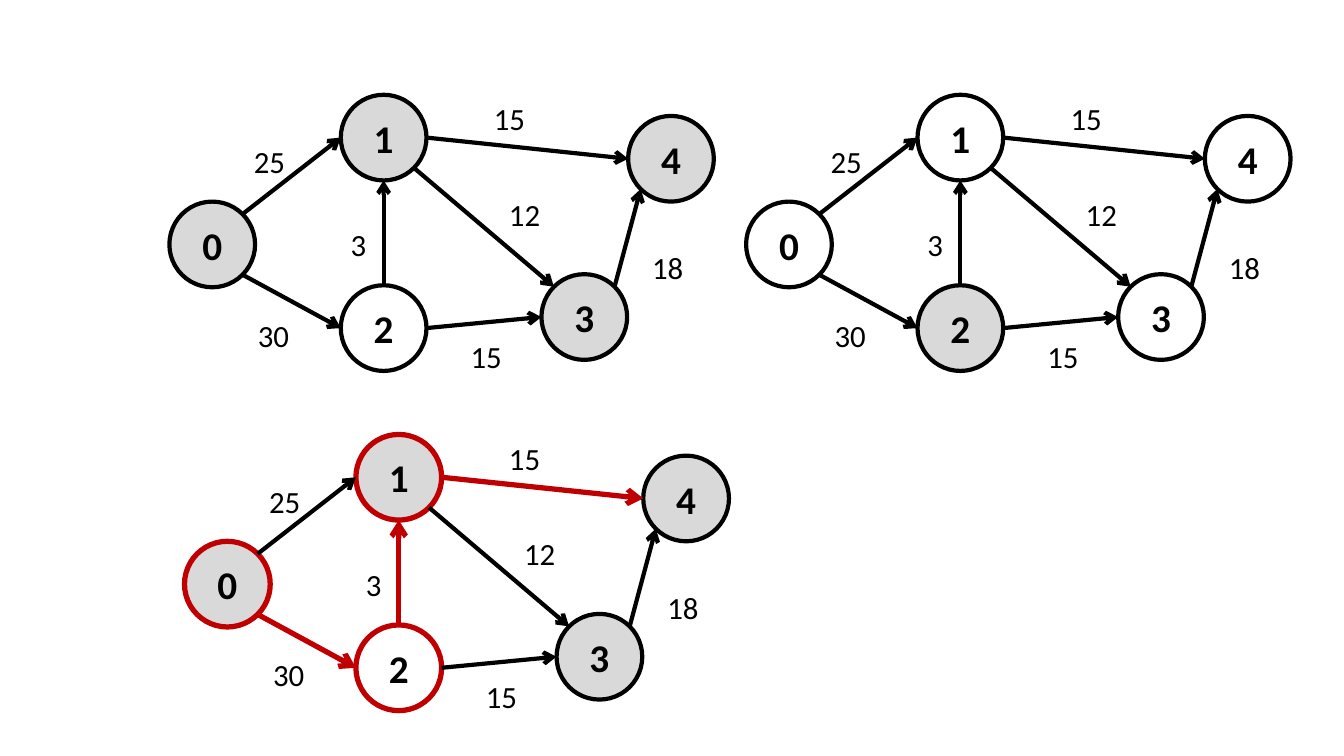
from dataclasses import dataclass
from math import sqrt

from lxml.etree import SubElement
from pptx import Presentation
from pptx.dml.color import RGBColor as RGB
from pptx.enum.shapes import MSO_CONNECTOR as CONNECTOR, MSO_SHAPE as SHAPE
from pptx.enum.text import MSO_ANCHOR as ANCHOR, MSO_AUTO_SIZE as AUTO_SIZE, PP_ALIGN as ALIGN
from pptx.oxml.ns import qn
from pptx.util import Pt

SCALE = 9144  # EMU per px, 100 px to the inch


@dataclass(frozen=True)
class Theme:
    font: str = "Calibri"
    node_size: float = 28
    weight_size: float = 22
    ink: RGB = RGB(0x00, 0x00, 0x00)
    marked: RGB = RGB(0xD9, 0xD9, 0xD9)
    plain: RGB = RGB(0xFF, 0xFF, 0xFF)
    route: RGB = RGB(0xC0, 0x00, 0x00)
    stroke: float = 3
    route_stroke: float = 3.75


THEME = Theme()
DIAMETER = 85
WEIGHT_BOX = (57, 47)

# Node positions inside a graph's box
NODES = {0: (0, 106), 1: (170, 0), 2: (170, 189), 3: (369, 178), 4: (455, 21)}

# Compass points of a circle as offsets from its centre, in radii
DIAGONAL = 1 / sqrt(2)
COMPASS = {
    "N": (0, -1), "S": (0, 1), "W": (-1, 0), "E": (1, 0),
    "NW": (-DIAGONAL, -DIAGONAL), "NE": (DIAGONAL, -DIAGONAL),
    "SW": (-DIAGONAL, DIAGONAL), "SE": (DIAGONAL, DIAGONAL),
}

# Source, its side, target, its side, weight, weight position
EDGES = [
    (0, "NE", 1, "W", "25", (74, 43)),
    (0, "SE", 2, "W", "30", (78, 215)),
    (2, "E", 3, "W", "15", (289, 236)),
    (2, "N", 1, "S", "3", (170, 125)),
    (3, "NE", 4, "SW", "18", (469, 148)),
    (1, "E", 4, "W", "15", (312, 0)),
    (1, "SE", 3, "NW", "12", (327, 95)),
]

# Box origin, shaded nodes, nodes along the highlighted route
GRAPHS = [
    ((168, 94), {0, 1, 3, 4}, []),
    ((740, 94), {2}, []),
    ((183, 431), {0, 1, 3, 4}, [0, 2, 1, 4]),
]


def px(*lengths):
    return [round(length * SCALE) for length in lengths]


def style_line(line, on_route):
    line.color.rgb = THEME.route if on_route else THEME.ink
    line.width = Pt(THEME.route_stroke if on_route else THEME.stroke)


def write(frame, wording, size, bold=False):
    run = frame.paragraphs[0].add_run()
    run.text = wording
    run.font.name = THEME.font
    run.font.size = Pt(size)
    run.font.bold = bold
    run.font.color.rgb = THEME.ink


def add_node(slide, left, top, number, shaded, on_route):
    node = slide.shapes.add_shape(SHAPE.OVAL, *px(left, top, DIAMETER, DIAMETER))
    node.shadow.inherit = False
    node.fill.solid()
    node.fill.fore_color.rgb = THEME.marked if shaded else THEME.plain
    style_line(node.line, on_route)
    node.text_frame.vertical_anchor = ANCHOR.MIDDLE
    node.text_frame.paragraphs[0].alignment = ALIGN.CENTER
    write(node.text_frame, str(number), THEME.node_size, bold=True)


def add_arrow(slide, tip, start, on_route):
    arrow = slide.shapes.add_connector(CONNECTOR.STRAIGHT, *px(*tip, *start))
    style_line(arrow.line, on_route)
    outline = arrow.line._get_or_add_ln()
    SubElement(outline, qn("a:headEnd"), type="arrow")
    SubElement(arrow._element.spPr, qn("a:effectLst"))


def add_weight(slide, left, top, weight):
    label = slide.shapes.add_textbox(*px(left, top, *WEIGHT_BOX))
    label.text_frame.word_wrap = True
    label.text_frame.auto_size = AUTO_SIZE.SHAPE_TO_FIT_TEXT
    write(label.text_frame, weight, THEME.weight_size)


def rim_point(left, top, number, side):
    radius = DIAMETER / 2
    return [origin + offset + radius * (1 + direction)
            for origin, offset, direction in zip((left, top), NODES[number], COMPASS[side])]


def add_graph(slide, left, top, shaded, route):
    # Nodes; the route's end keeps its black outline
    for number, (x, y) in NODES.items():
        add_node(slide, left + x, top + y, number, number in shaded, number in route[:-1])

    # Directed edges with their weights
    route_steps = set(zip(route, route[1:]))
    for source, source_side, target, target_side, weight, (x, y) in EDGES:
        tip = rim_point(left, top, target, target_side)
        start = rim_point(left, top, source, source_side)
        add_arrow(slide, tip, start, (source, target) in route_steps)
        add_weight(slide, left + x, top + y, weight)


def main():
    deck = Presentation()
    deck.slide_width, deck.slide_height = px(1333, 750)
    slide = deck.slides.add_slide(deck.slide_layouts[6])
    for (left, top), shaded, route in GRAPHS:
        add_graph(slide, left, top, shaded, route)
    deck.save("out.pptx")


if __name__ == "__main__":
    main()
